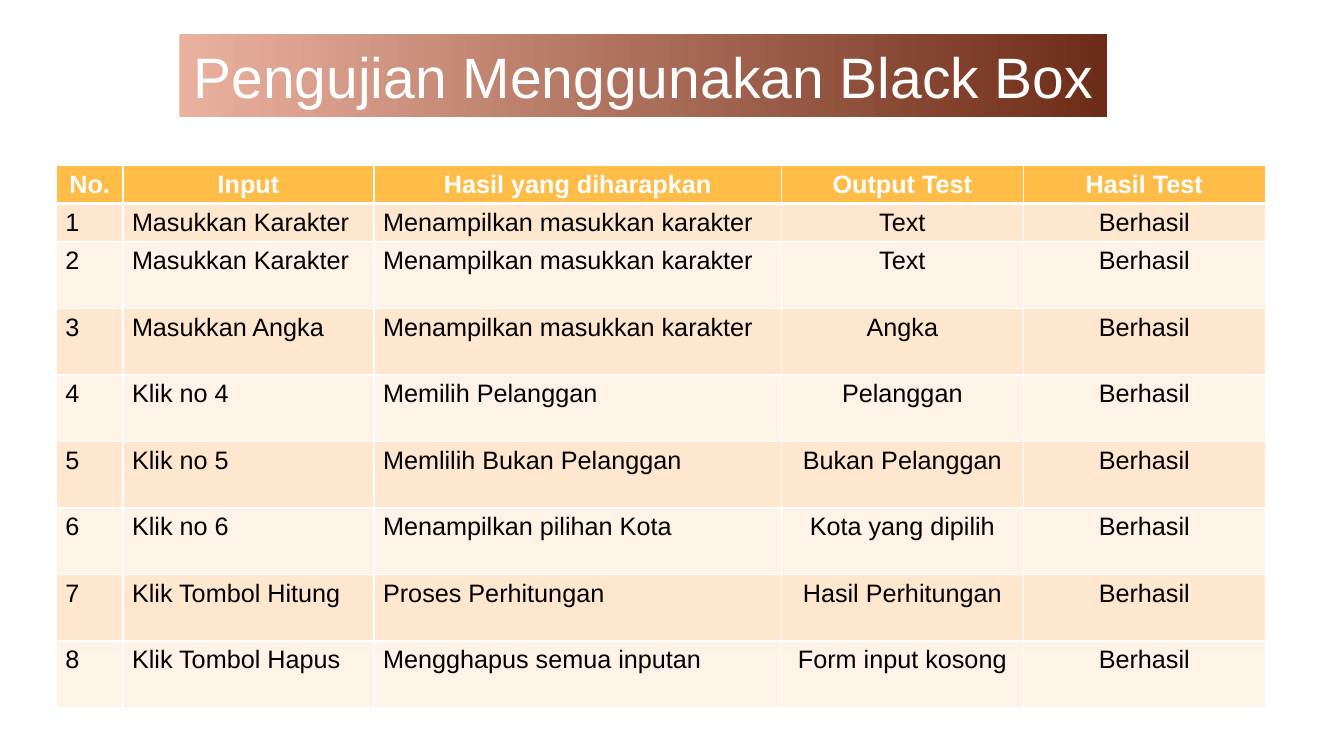
"""Build the black box testing slide with its title banner and results table."""
import dataclasses

import lxml.etree
import pptx
import pptx.dml.color
import pptx.enum.shapes
import pptx.enum.text
import pptx.oxml.ns
import pptx.util

Inches = pptx.util.Inches
Pt = pptx.util.Pt
ALIGN = pptx.enum.text.PP_ALIGN
MIDDLE = pptx.enum.text.MSO_ANCHOR.MIDDLE


@dataclasses.dataclass(frozen=True)
class Theme:
    font: str = "Arial"
    title_size: float = 40.7
    table_size: float = 18
    thin_line: float = 0.96
    thick_line: float = 3
    white: str = "FFFFFF"
    black: str = "000000"
    header: str = "FFBD47"
    bands: tuple = ("FFE7CF", "FFF3E8")
    banner: tuple = ("EBB19F", "6D2C17")


def rgb(value):
    return pptx.dml.color.RGBColor.from_string(value)


def apply(target, values):
    for name, value in values.items():
        setattr(target, name, value)


class SlideBuilder:
    def __init__(self, slide, theme):
        self.slide = slide
        self.theme = theme

    def add_text(self, frame, text, size, color, alignment, bold=False):
        paragraph = frame.paragraphs[0]
        paragraph.alignment = alignment
        run = paragraph.add_run()
        run.text = text
        apply(run.font, {"name": self.theme.font, "size": Pt(size), "bold": bold})
        run.font.color.rgb = rgb(color)

    def banner(self, text, left, top, width, height):
        shape = self.slide.shapes.add_shape(
            pptx.enum.shapes.MSO_SHAPE.RECTANGLE,
            Inches(left), Inches(top), Inches(width), Inches(height))
        shape.shadow.inherit = False
        shape.line.fill.background()
        shape.fill.gradient()
        shape.fill.gradient_angle = 0
        for position, (stop, color) in enumerate(
                zip(shape.fill.gradient_stops, self.theme.banner)):
            stop.position = position
            stop.color.rgb = rgb(color)
        apply(shape.text_frame, {"word_wrap": False, "vertical_anchor": MIDDLE})
        self.add_text(shape.text_frame, text, self.theme.title_size,
                      self.theme.white, ALIGN.CENTER)

    def borders(self, cell, widths):
        properties = cell._tc.get_or_add_tcPr()
        qn = pptx.oxml.ns.qn
        for index, (side, width) in enumerate(widths.items()):
            line = lxml.etree.Element(qn(f"a:ln{side}"), w=str(Pt(width)))
            fill = lxml.etree.SubElement(line, qn("a:solidFill"))
            lxml.etree.SubElement(fill, qn("a:srgbClr"), val=self.theme.white)
            properties.insert(index, line)

    def cell(self, cell, text, row, centered):
        theme = self.theme
        is_header = row == 0
        apply(cell, {"margin_left": Inches(0.09), "margin_right": Inches(0.09),
                     "margin_top": Inches(0.05), "margin_bottom": Inches(0.04)})
        cell.fill.solid()
        cell.fill.fore_color.rgb = rgb(
            theme.header if is_header else theme.bands[(row - 1) % 2])
        widths = dict.fromkeys("LRTB", theme.thin_line)
        if row < 2:
            widths["B" if is_header else "T"] = theme.thick_line
        self.borders(cell, widths)
        self.add_text(cell.text_frame, text, theme.table_size,
                      theme.white if is_header else theme.black,
                      ALIGN.CENTER if is_header or centered else ALIGN.LEFT, is_header)

    def table(self, rows, left, top, widths, heights, centered_columns):
        table = self.slide.shapes.add_table(
            len(rows), len(widths), Inches(left), Inches(top),
            Inches(sum(widths)), Inches(sum(heights))).table
        for column, width in zip(table.columns, widths):
            column.width = Inches(width)
        for row, height in zip(table.rows, heights):
            row.height = Inches(height)
        for row, texts in enumerate(rows):
            for column, text in enumerate(texts):
                self.cell(table.cell(row, column), text, row,
                          column in centered_columns)


HEADER = ("No.", "Input", "Hasil yang diharapkan", "Output Test", "Hasil Test")
TESTS = (
    ("Masukkan Karakter", "Menampilkan masukkan karakter", "Text"),
    ("Masukkan Karakter", "Menampilkan masukkan karakter", "Text"),
    ("Masukkan Angka", "Menampilkan masukkan karakter", "Angka"),
    ("Klik no 4", "Memilih Pelanggan", "Pelanggan"),
    ("Klik no 5", "Memlilih Bukan Pelanggan", "Bukan Pelanggan"),
    ("Klik no 6", "Menampilkan pilihan Kota", "Kota yang dipilih"),
    ("Klik Tombol Hitung", "Proses Perhitungan", "Hasil Perhitungan"),
    ("Klik Tombol Hapus", "Mengghapus semua inputan", "Form input kosong"),
)


def main():
    presentation = pptx.Presentation()
    apply(presentation, {"slide_width": Inches(13.33), "slide_height": Inches(7.5)})
    slide = presentation.slides.add_slide(presentation.slide_layouts[6])
    builder = SlideBuilder(slide, Theme())
    rows = [HEADER] + [(str(number), *test, "Berhasil")
                       for number, test in enumerate(TESTS, 1)]
    builder.table(rows, 0.56, 1.64, widths=(0.66, 2.49, 4.04, 2.4, 2.4),
                  heights=[0.38] * 2 + [0.66] * 7, centered_columns=(3, 4))
    builder.banner("Pengujian Menggunakan Black Box", 1.78, 0.34, 9.2, 0.82)
    presentation.save("out.pptx")


if __name__ == "__main__":
    main()
